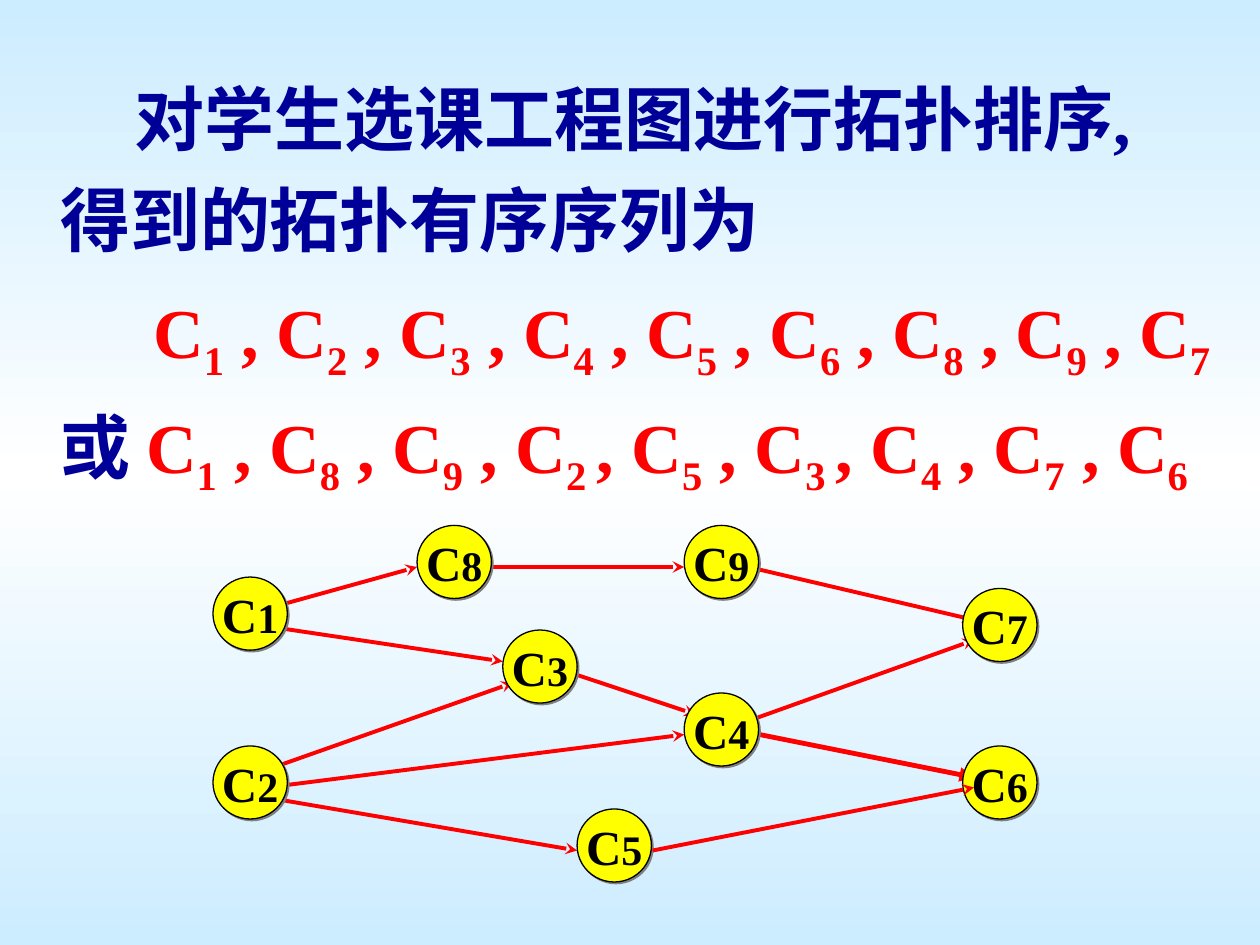
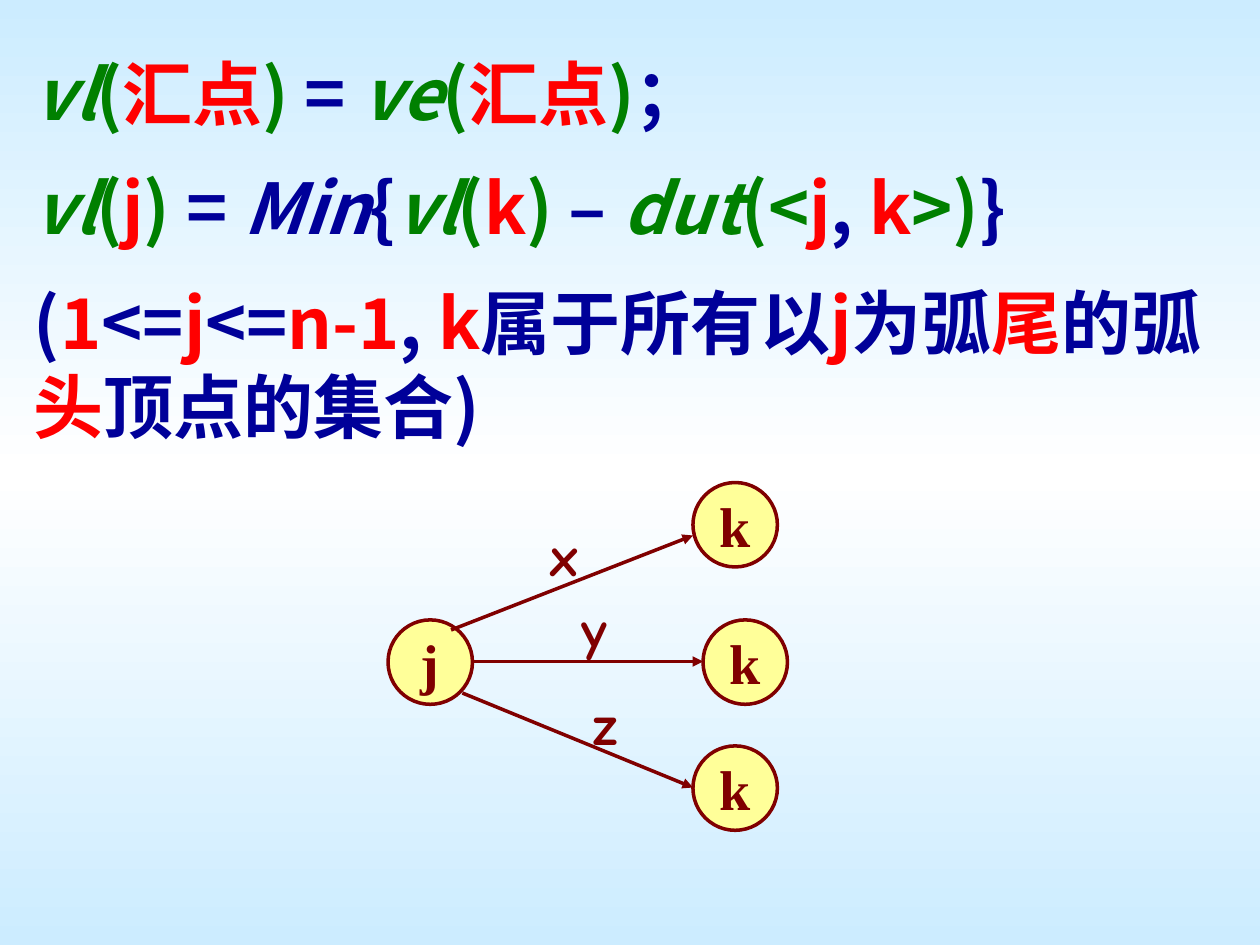
from copy import deepcopy
from dataclasses import dataclass, replace

from lxml import etree
from pptx import Presentation
from pptx import util as u
from pptx.dml.color import RGBColor
from pptx.enum import shapes, text
from pptx.oxml import ns


@dataclass(frozen=True)
class Theme:
    sky: str = "CCECFF"
    white: str = "FFFFFF"
    navy: str = "000099"
    red: str = "FF0000"
    green: str = "008000"
    maroon: str = "800000"
    black: str = "000000"
    grey: str = "808080"
    yellow: str = "FFFF00"
    cream: str = "FFFF99"
    serif: str = "Times New Roman"
    sans: str = "Noto Sans CJK SC"
    hand: str = "Comic Neue"
    body: int = 40
    label: int = 32
    letter: int = 28
    digit: int = 24


THEME = Theme()


@dataclass(frozen=True)
class Span:
    words: str
    colour: str = THEME.navy
    size: int = THEME.body
    font: str = THEME.serif
    italic: bool = False
    subscript: bool = False


@dataclass(frozen=True)
class NodeStyle:
    width: float
    height: float
    fill: str
    outline: str
    weight: float
    shadow: bool


@dataclass(frozen=True)
class Node:
    left: float
    top: float
    spans: tuple[Span, ...]


@dataclass(frozen=True)
class Edge:
    start: tuple[float, float]
    end: tuple[float, float]
    colour: str = THEME.red
    weight: float = 2.25
    head: str = "stealth"


COURSE_STYLE = NodeStyle(0.59, 0.58, THEME.yellow, THEME.black, 0.75, True)
VERTEX_STYLE = NodeStyle(0.67, 0.67, THEME.cream, THEME.maroon, 2, False)

COURSE_PLACES = {
    "8": (3.31, 4.17), "3": (3.99, 5), "5": (4.58, 6.42),
    "4": (5.43, 5.5), "9": (5.43, 4.17), "6": (7.64, 5.92),
    "7": (7.64, 4.67), "1": (1.69, 4.58), "2": (1.69, 5.92),
}
COURSE_EDGES = [
    Edge((2.12, 6.25), (5.43, 5.83)),
    Edge((4.5, 5.33), (5.52, 5.67)),
    Edge((5.94, 4.5), (7.73, 4.92)),
    Edge((5.86, 5.75), (7.73, 5.08)),
    Edge((3.65, 4.5), (5.43, 4.5)),
    Edge((6.03, 5.83), (7.73, 6.17), weight=2.75, head="triangle"),
    Edge((2.12, 6.33), (4.58, 6.75)),
    Edge((2.2, 6.08), (4.07, 5.42)),
    Edge((1.78, 4.92), (3.99, 5.25)),
    Edge((2.12, 4.83), (3.31, 4.5)),
]
TOP_EDGE = Edge((5.18, 6.75), (7.73, 6.25))

FIRST_ORDER = ["1", "2", "3", "4", "5", "6", "8", "9", "7"]
SECOND_ORDER = ["1", "8", "9", "2 ", "5", "3 ", "4", "7", "6"]

VERTICES = [("j", 3.08, 4.92), ("k", 5.58, 4.92), ("k", 5.5, 3.83), ("k", 5.5, 5.92)]
ARCS = [((3.75, 5.25), (5.58, 5.25)), ((3.58, 5), (5.5, 4.25)), ((3.67, 5.5), (5.5, 6.25))]
WEIGHTS = [("y", 4.52, 4.67), ("x", 4.27, 4.08), ("z", 4.61, 5.42)]


def rgb(colour: str) -> RGBColor:
    return RGBColor.from_string(colour)


def add_child(parent, tag: str, **attributes: str):
    return etree.SubElement(parent, ns.qn(tag), attributes)


def add_spans(para, spans) -> None:
    for item in spans:
        span = para.add_run()
        span.text = item.words
        font = span.font
        font.name, font.size = item.font, u.Pt(item.size)
        font.bold, font.italic = True, item.italic
        font.color.rgb = rgb(item.colour)
        properties = span._r.get_or_add_rPr()
        add_child(properties, "a:ea", typeface=THEME.sans)
        if item.subscript:
            properties.set("baseline", "-25000")


def add_text_box(page, left: float, top: float, width: float, height: float, wrap: bool = True):
    box = page.shapes.add_textbox(*map(u.Inches, (left, top, width, height)))
    box.text_frame.word_wrap = wrap
    return box.text_frame


def add_node(page, node: Node, style: NodeStyle) -> None:
    circle = page.shapes.add_shape(
        shapes.MSO_SHAPE.OVAL,
        *map(u.Inches, (node.left, node.top, style.width, style.height)))
    circle.fill.solid()
    circle.fill.fore_color.rgb = rgb(style.fill)
    circle.line.color.rgb = rgb(style.outline)
    circle.line.width = u.Pt(style.weight)
    circle.shadow.inherit = False
    if style.shadow:
        effects = circle._element.spPr.find(ns.qn("a:effectLst"))
        shadow = add_child(effects, "a:outerShdw", dist=str(u.Pt(1.4)),
                           dir="2700000", algn="ctr", rotWithShape="0")
        add_child(shadow, "a:srgbClr", val=THEME.grey)
    frame = circle.text_frame
    frame.word_wrap = False
    frame.vertical_anchor = text.MSO_ANCHOR.MIDDLE
    para = frame.paragraphs[0]
    para.alignment = text.PP_ALIGN.CENTER
    add_spans(para, node.spans)


def add_edge(page, edge: Edge) -> None:
    arrow = page.shapes.add_connector(
        shapes.MSO_CONNECTOR.STRAIGHT, *map(u.Inches, edge.start + edge.end))
    arrow.line.color.rgb = rgb(edge.colour)
    arrow.line.width = u.Pt(edge.weight)
    properties = arrow._element.spPr
    add_child(properties.find(ns.qn("a:ln")), "a:tailEnd", type=edge.head)
    add_child(properties, "a:effectLst")


def order_spans(order: list[str]) -> list[Span]:
    spans, lead = [], "C"
    for number in order:
        spans += [Span(lead, THEME.red), Span(number, THEME.red, subscript=True)]
        lead = ", C" if number.endswith(" ") else " , C"
    return spans


def set_background(deck) -> None:
    master = deck.slide_master
    fill = master.background.fill
    fill.gradient()
    fill.gradient_angle = 270
    stop_list = master.element.find(".//" + ns.qn("a:gsLst"))
    stop_list.append(deepcopy(stop_list[0]))
    for stop, place, colour in zip(fill.gradient_stops, (0, 0.5, 1),
                                   (THEME.sky, THEME.white, THEME.sky)):
        stop.position = place
        stop.color.rgb = rgb(colour)


def build_sorting(page) -> None:
    frame = add_text_box(page, 0, 0.42, 10, 3.65)
    intro, orders = frame.paragraphs[0], frame.add_paragraph()
    for para, indent in ((intro, 0.59), (orders, 0.74)):
        para.line_spacing = 1.2
        properties = para._p.get_or_add_pPr()
        properties.set("marL", str(u.Inches(0.38)))
        properties.set("indent", str(u.Inches(indent)))
    orders.space_before = u.Pt(5)
    add_spans(intro, [Span("对学生选课工程图进行拓扑排序,")])
    intro.add_line_break()
    add_spans(intro, [Span("得到的拓扑有序序列为")])
    add_spans(orders, order_spans(FIRST_ORDER))
    orders.add_line_break()
    add_spans(orders, [Span("或 ")] + order_spans(SECOND_ORDER))

    for edge in COURSE_EDGES:
        add_edge(page, edge)
    for number, (left, top) in COURSE_PLACES.items():
        spans = (Span("C", THEME.black, THEME.letter), Span(number, THEME.black, THEME.digit))
        add_node(page, Node(left, top, spans), COURSE_STYLE)
    add_edge(page, TOP_EDGE)


def build_latest_times(page) -> None:
    plain = Span("", font=THEME.sans)

    def navy(words: str) -> Span:
        return replace(plain, words=words)

    def red(words: str) -> Span:
        return replace(plain, words=words, colour=THEME.red)

    def green(words: str) -> Span:
        return replace(plain, words=words, colour=THEME.green)

    def call(name: str, argument: str) -> list[Span]:
        return [replace(green(name), italic=True), green("("), red(argument), green(")")]

    lines = [
        [*call("vl", "汇点"), navy(" = "), *call("ve", "汇点"), navy("；")],
        [*call("vl", "j"), navy(" = "), replace(navy("Min"), italic=True), navy("{"),
         *call("vl", "k"), navy(" – "), replace(green("dut"), italic=True), green("(<"),
         red("j"), navy(", "), red("k"), green(">)"), navy("}")],
        [navy("("), red("1"), navy("<="), red("j"), navy("<="), red("n-1"), navy(", "),
         red("k"), navy("属于所有以"), red("j"), navy("为弧"), red("尾"), navy("的弧"),
         red("头"), navy("顶点的集合)")],
    ]
    frame = add_text_box(page, 0.17, 0.35, 9.58, 3.25)
    for index, spans in enumerate(lines):
        para = frame.add_paragraph() if index else frame.paragraphs[0]
        if index:
            para.space_before = u.Pt(17.5)
        add_spans(para, spans)

    for name, left, top in VERTICES:
        add_node(page, Node(left, top, (Span(name, THEME.maroon, THEME.label),)), VERTEX_STYLE)
    for start, end in ARCS:
        add_edge(page, Edge(start, end, THEME.maroon, 2, "triangle"))
    for name, left, top in WEIGHTS:
        label = add_text_box(page, left, top, 0.4, 0.64, wrap=False)
        add_spans(label.paragraphs[0], [Span(name, THEME.maroon, THEME.label, THEME.hand)])


def main() -> None:
    deck = Presentation()
    deck.slide_width, deck.slide_height = u.Inches(10), u.Inches(7.5)
    set_background(deck)
    blank = deck.slide_layouts[6]
    for build in (build_sorting, build_latest_times):
        build(deck.slides.add_slide(blank))
    deck.save("out.pptx")


if __name__ == "__main__":
    main()
